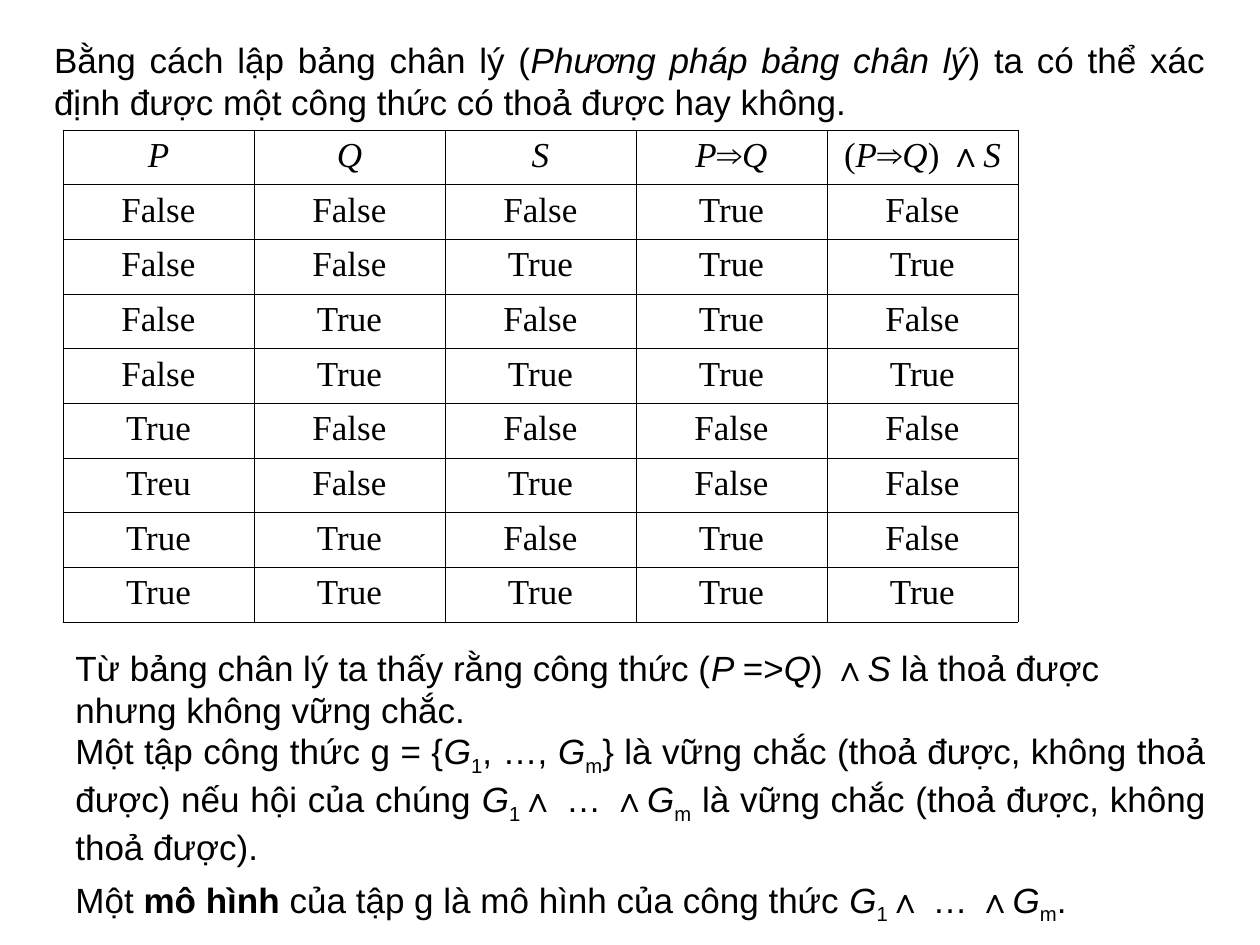
import pptx
import pptx.dml.color
import pptx.enum.text
import pptx.oxml
import pptx.oxml.ns
import pptx.util
from pptx.util import Cm

SANS, SERIF = "Arial", "Times New Roman"
BLACK = "000000"
ALIGN = pptx.enum.text.PP_ALIGN
ANCHOR = pptx.enum.text.MSO_ANCHOR

# Runs are (text, style); styles: "" plain, "i" italic, "b" bold, "s" subscript
G1_TO_GM = [("G", "i"), ("1", "s"), ("∧ … ∧", ""), ("G", "i"), ("m", "s")]

INTRO = [[("Bằng cách lập bảng chân lý (", ""), ("Phương pháp bảng chân lý", "i"),
          (") ta có thể xác định được một công thức có thoả được hay không.", "")]]
RESULT = [[("Từ bảng chân lý ta thấy rằng công thức (", ""), ("P ", "i"), ("=>", ""),
           ("Q", "i"), (") ∧", ""), ("S", "i"),
           (" là thoả được nhưng không vững chắc.", "")]]
DEFINITIONS = [
    [("Một tập công thức g = {", ""), ("G", "i"), ("1", "s"), (", …, ", ""),
     ("G", "i"), ("m", "s"),
     ("} là vững chắc (thoả được, không thoả được) nếu hội của chúng ", ""),
     *G1_TO_GM, (" là vững chắc (thoả được, không thoả được).", "")],
    [("Một ", ""), ("mô hình", "b"), (" của tập g là mô hình của công thức ", ""),
     *G1_TO_GM, (".", "")],
]

HEADERS = [
    [("P", "i")], [("Q", "i")], [("S", "i")],
    [("P", "i"), ("⇒", ""), ("Q", "i")],
    [("(", ""), ("P", "i"), ("⇒", ""), ("Q", "i"), (") ", ""), ("∧", ""), ("S", "i")],
]
TRUTH_ROWS = [
    "False False False True False",
    "False False True True True",
    "False True False True False",
    "False True True True True",
    "True False False False False",
    "Treu False True False False",
    "True True False True False",
    "True True True True True",
]


def color(value):
    return pptx.dml.color.RGBColor.from_string(value)


def add_runs(p, runs, font):
    for text, style in runs:
        r = p.add_run()
        r.text = text
        r.font.size = pptx.util.Pt(20)
        r.font.name = SANS if text in "⇒∧" else font
        r.font.color.rgb = color(BLACK)
        r.font.italic = style == "i"
        r.font.bold = style == "b"
        if style == "s":
            r.font._element.set("baseline", "-25000")


def add_text(slide, box, paragraphs, align, anchor, space_after=0):
    sp = slide.shapes.add_textbox(*box)
    tf = sp.text_frame
    tf.word_wrap = True
    tf.auto_size = pptx.enum.text.MSO_AUTO_SIZE.SHAPE_TO_FIT_TEXT
    tf.vertical_anchor = anchor
    for i, runs in enumerate(paragraphs):
        p = tf.add_paragraph() if i else tf.paragraphs[0]
        p.alignment = align
        p.space_after = pptx.util.Pt(space_after)
        add_runs(p, runs, SANS)


def style_cell(cell):
    # Thin border on every side, no fill
    tc_pr = cell._tc.get_or_add_tcPr()
    for side in "LRTB":
        tc_pr.append(pptx.oxml.parse_xml(
            f'<a:ln{side} {pptx.oxml.ns.nsdecls("a")} w="5715"><a:solidFill>'
            f'<a:srgbClr val="{BLACK}"/></a:solidFill></a:ln{side}>'))
    cell.fill.background()


def add_truth_table(slide, box):
    left, top, width, height = box
    rows = [HEADERS] + [[[(word, "")] for word in row.split()] for row in TRUTH_ROWS]
    table = slide.shapes.add_table(len(rows), len(HEADERS), left, top, width, height).table
    table.first_row = table.horz_banding = False
    for column in table.columns:
        column.width = int(width / len(HEADERS))
    for i, row in enumerate(rows):
        table.rows[i].height = int(height / len(rows))
        for j, runs in enumerate(row):
            cell = table.cell(i, j)
            style_cell(cell)
            p = cell.text_frame.paragraphs[0]
            p.alignment = ALIGN.CENTER
            add_runs(p, runs, SERIF)


def main():
    prs = pptx.Presentation()
    prs.slide_width, prs.slide_height = Cm(25.4), Cm(19.05)
    slide = prs.slides.add_slide(prs.slide_layouts[6])

    # Introduction above the table
    add_text(slide, (Cm(0.84), Cm(0.64), Cm(23.7), Cm(1.96)), INTRO,
             ALIGN.JUSTIFY, ANCHOR.MIDDLE)
    # Truth table
    add_truth_table(slide, (Cm(1.27), Cm(2.62), Cm(19.25), Cm(9.91)))
    # Conclusion and definitions below it
    add_text(slide, (Cm(1.27), Cm(12.9), Cm(23.06), Cm(1.96)), RESULT,
             ALIGN.LEFT, ANCHOR.TOP)
    add_text(slide, (Cm(1.27), Cm(14.58), Cm(23.29), Cm(4.22)), DEFINITIONS,
             ALIGN.JUSTIFY, ANCHOR.MIDDLE, space_after=6.2)

    prs.save("out.pptx")


if __name__ == "__main__":
    main()
